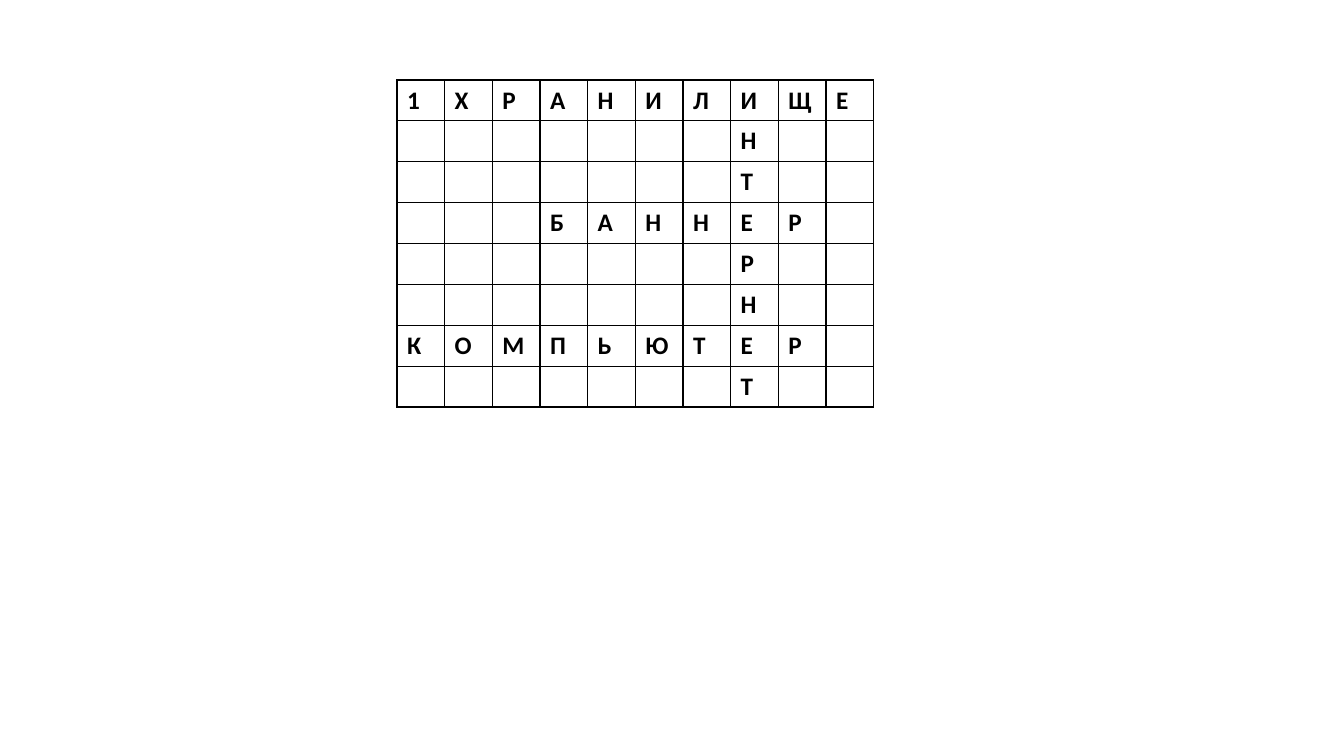
from lxml.etree import SubElement
from pptx import Presentation
from pptx.dml.color import RGBColor as Color
from pptx.oxml.ns import qn
from pptx.util import Emu, Pt

EMU_PER_INCH = 914400
PX_PER_INCH = 100.8
COLORS = {"ink": "000000", "paper": "FFFFFF"}
FONT = "Calibri"
CROSSWORD = [
    "1ХРАНИЛИЩЕ",
    ".......Н..",
    ".......Т..",
    "...БАННЕР.",
    ".......Р..",
    ".......Н..",
    "КОМПЬЮТЕР.",
    ".......Т..",
]


def px(length):
    return Emu(round(length * EMU_PER_INCH / PX_PER_INCH))


def color(name):
    return Color.from_string(COLORS[name])


def write_text(frame, text, size=18, bold=True, ink="ink"):
    span = frame.paragraphs[0].add_run()
    span.text = text
    span.font.name = FONT
    span.font.size = Pt(size)
    span.font.bold = bold
    span.font.color.rgb = color(ink)


def draw_borders(cell, ink="ink", width=1):
    properties = cell._tc.get_or_add_tcPr()
    for side in ("a:lnL", "a:lnR", "a:lnT", "a:lnB"):
        line = SubElement(properties, qn(side), w=str(Pt(width)))
        fill = SubElement(line, qn("a:solidFill"))
        SubElement(fill, qn("a:srgbClr"), val=COLORS[ink])


def fill_cell(cell, letter):
    draw_borders(cell)
    cell.fill.solid()
    cell.fill.fore_color.rgb = color("paper")
    if letter != ".":
        write_text(cell.text_frame, letter)


def add_crossword(page, lines, left, top, width, height):
    row_count, column_count = len(lines), len(lines[0])
    table = page.shapes.add_table(
        row_count, column_count, px(left), px(top), px(width), px(height)
    ).table
    table.first_row = False
    table.horz_banding = False
    for row, line in enumerate(lines):
        for column, letter in enumerate(line):
            fill_cell(table.cell(row, column), letter)


def main():
    deck = Presentation()
    deck.slide_width, deck.slide_height = px(1344), px(756)
    page = deck.slides.add_slide(deck.slide_layouts[6])
    add_crossword(page, CROSSWORD, left=397, top=80, width=477, height=327)
    deck.save("out.pptx")


if __name__ == "__main__":
    main()
